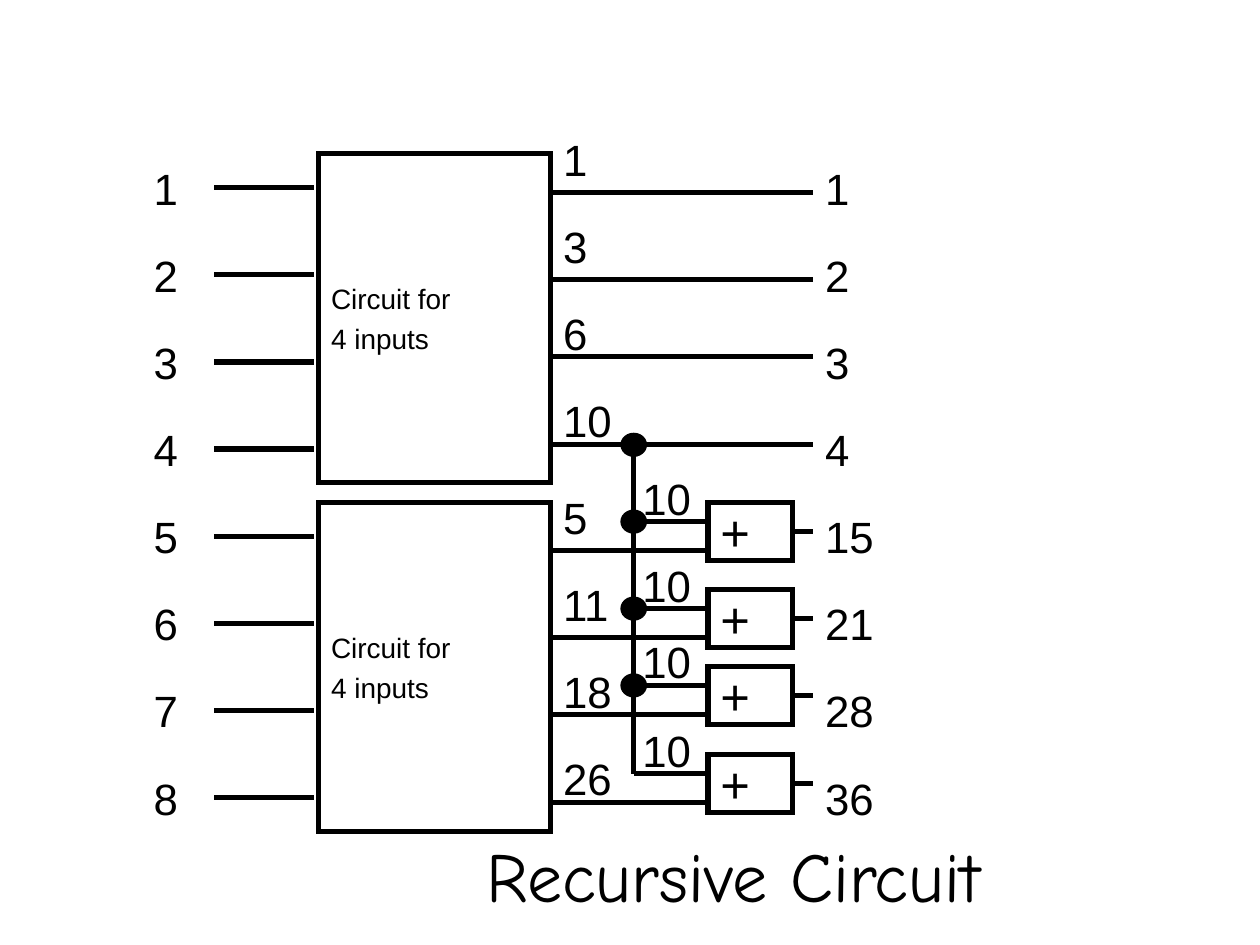
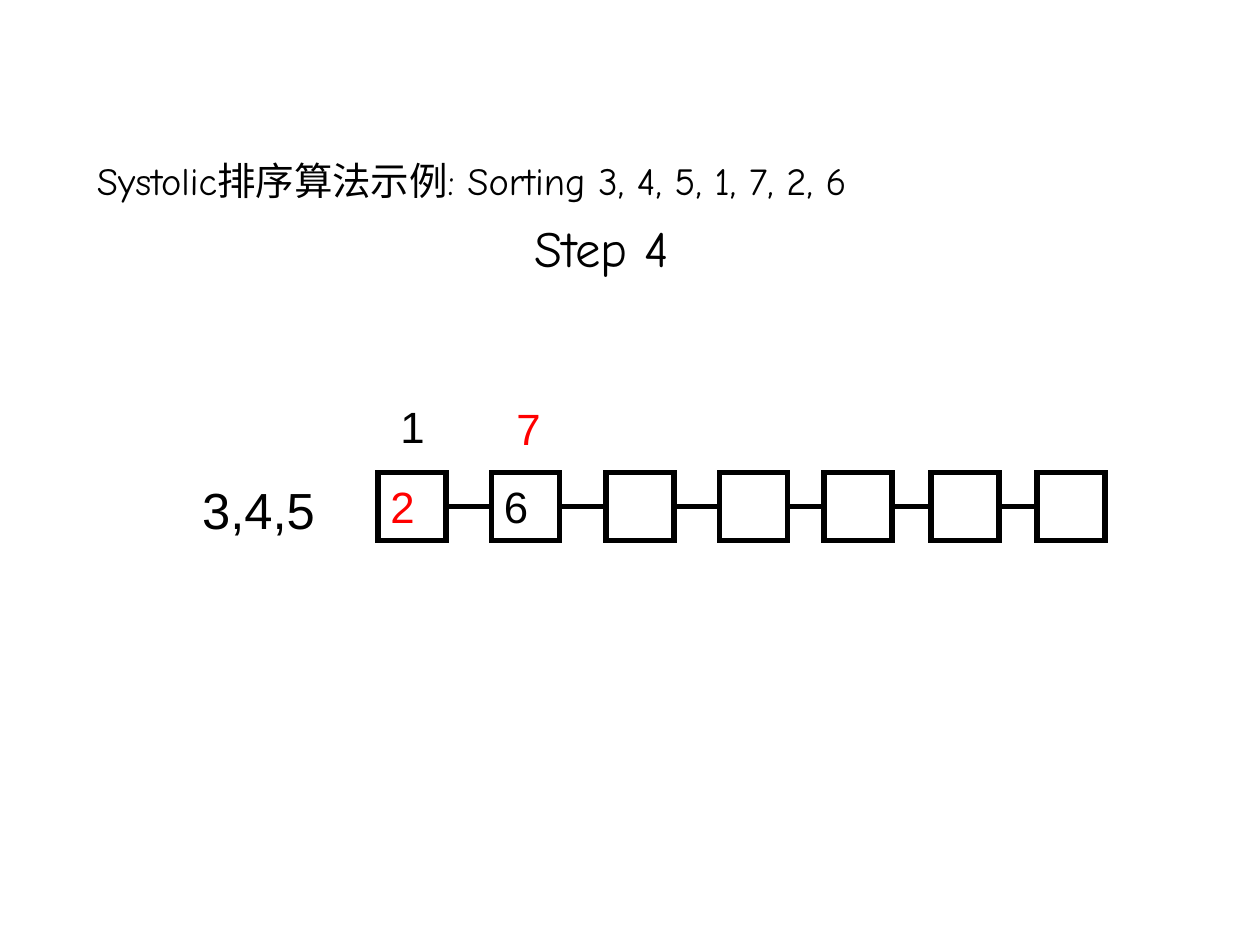
from dataclasses import dataclass

from lxml import etree
from pptx import Presentation
from pptx.dml.color import RGBColor
from pptx.enum.shapes import MSO_CONNECTOR, MSO_SHAPE
from pptx.enum.text import MSO_ANCHOR, PP_ALIGN
from pptx.oxml.ns import qn
from pptx.util import Inches, Pt

STRAIGHT = MSO_CONNECTOR.STRAIGHT
RECTANGLE, OVAL = MSO_SHAPE.RECTANGLE, MSO_SHAPE.OVAL
TOP, MIDDLE = MSO_ANCHOR.TOP, MSO_ANCHOR.MIDDLE
LEFT, CENTER, RIGHT = PP_ALIGN.LEFT, PP_ALIGN.CENTER, PP_ALIGN.RIGHT
LEFT_SIDE, RIGHT_SIDE = 1, 3


@dataclass(frozen=True)
class Theme:
    ink: RGBColor = RGBColor(0, 0, 0)
    accent: RGBColor = RGBColor(255, 0, 0)
    heading_font: str = "Comic Neue"
    label_font: str = "Arial"
    title: float = 40
    large: float = 29
    label: float = 25
    heading: float = 22
    caption: float = 16
    stroke: float = 3


THEME = Theme()
ROW_PITCH = 4.84 / 7
ADDER_STEPS = (0, 0.69, 1.3, 2)
LABEL_WIDTH, LABEL_HEIGHT = 0.58, 0.54


def apply_format(target, values):
    for name, value in values.items():
        setattr(target, name, value)


def write(box, lines, anchor=MIDDLE, align=LEFT, wrap=False, margins=None, **font):
    frame = box.text_frame
    apply_format(frame, {"word_wrap": wrap, "vertical_anchor": anchor})
    if margins:
        side, edge = map(Inches, margins)
        apply_format(frame, {"margin_left": side, "margin_right": side,
                             "margin_top": edge, "margin_bottom": edge})
    elif align == RIGHT:
        frame.margin_left = 0
    else:
        frame.margin_right = 0
    style = {"size": THEME.label, "name": THEME.label_font, "color": THEME.ink} | font
    for index, line in enumerate(lines):
        para = frame.add_paragraph() if index else frame.paragraphs[0]
        para.alignment = align
        if index:
            para.space_before = Pt(style["size"] / 4)
        span = para.add_run()
        span.text = line
        apply_format(span.font, {"size": Pt(style["size"]), "name": style["name"]})
        span.font.color.rgb = style["color"]
    return frame


def add_text(page, left, top, width, height, lines, **style):
    box = page.shapes.add_textbox(*map(Inches, (left, top, width, height)))
    return write(box, lines, **style)


def add_label(page, left, top, text):
    add_text(page, left, top, LABEL_WIDTH, LABEL_HEIGHT, [text])


def add_outline(page, kind, left, top, width, height, filled=False):
    shape = page.shapes.add_shape(kind, *map(Inches, (left, top, width, height)))
    shape.shadow.inherit = False
    if filled:
        shape.fill.solid()
        shape.fill.fore_color.rgb = THEME.ink
    else:
        shape.fill.background()
    shape.line.color.rgb = THEME.ink
    shape.line.width = Pt(THEME.stroke)
    border = shape._element.spPr.find(qn("a:ln"))
    etree.SubElement(border, qn("a:miter")).set("lim", "800000")
    return shape


def add_wire(page, start_x, start_y, end_x, end_y, start=None, end=None):
    ends = map(Inches, (start_x, start_y, end_x, end_y))
    wire = page.shapes.add_connector(STRAIGHT, *ends)
    wire.line.color.rgb = THEME.ink
    wire.line.width = Pt(THEME.stroke)
    etree.SubElement(wire._element.spPr, qn("a:effectLst"))
    if start:
        wire.begin_connect(start, RIGHT_SIDE)
    if end:
        wire.end_connect(end, LEFT_SIDE)


def add_inputs(page, left, top, count):
    for index in range(count):
        row = top + index * ROW_PITCH
        add_label(page, left, row, str(index + 1))
        add_wire(page, left + 0.58, row + 0.27, left + 1.37, row + 0.27)


def add_half_circuit(page, left, top, wire_drop, wire_length, prefixes):
    width = 1.84
    block = add_outline(page, RECTANGLE, left, top, width, 2.61)
    write(block, ["Circuit for", "4 inputs"], size=THEME.caption)
    right, first_wire = left + width, top + wire_drop
    for index, (step, prefix) in enumerate(zip(ADDER_STEPS, prefixes)):
        wire_y = first_wire + step
        add_wire(page, right, wire_y, right + wire_length, wire_y)
        label_y = first_wire - LABEL_HEIGHT + index * ROW_PITCH
        add_label(page, right, label_y, prefix)


def add_dot(page, center_x, center_y):
    width, height = 0.17, 0.15
    add_outline(page, OVAL, center_x - width / 2, center_y - height / 2,
                width, height, filled=True)


def add_adders(page, left, top, bus_top, carry):
    width, height, tap_drop = 0.67, 0.46, 0.15
    bus_x = left - 0.59
    taps = [top + step + tap_drop for step in ADDER_STEPS]
    add_wire(page, bus_x, bus_top, bus_x, taps[-1])
    for tap in taps:
        adder_top = tap - tap_drop
        adder = add_outline(page, RECTANGLE, left, adder_top, width, height)
        write(adder, ["+"], size=THEME.large)
        add_wire(page, bus_x, tap, left, tap)
        middle = adder_top + height / 2
        add_wire(page, left + width, middle, left + 0.83, middle, start=adder)
        add_label(page, bus_x - 0.03, adder_top - 0.31, carry)
    for dot_y in (bus_top, *taps[:-1]):
        add_dot(page, bus_x, dot_y)


def add_sums(page, left, top, sums):
    for index, text in enumerate(sums):
        add_label(page, left, top + index * ROW_PITCH, text)


def build_recursive_circuit(page):
    top, lower_top, block_left = 1.22, 3.99, 2.53
    add_text(page, 3.55, 6.58, 4.54, 0.72, ["Recursive Circuit"], anchor=TOP,
             align=CENTER, wrap=True, margins=(0.06, 0.03),
             size=THEME.title, name=THEME.heading_font)
    add_inputs(page, 1.12, top, 8)
    add_half_circuit(page, block_left, top, 0.31, 2.08, ("1", "3", "6", "10"))
    add_half_circuit(page, block_left, lower_top, 0.38, 1.25,
                     ("5", "11", "18", "26"))
    add_adders(page, 5.62, lower_top, 3.53, "10")
    add_sums(page, 6.45, top, ("1", "2", "3", "4", "15", "21", "28", "36"))


def add_step_heading(page, left, top, width, height):
    frame = add_text(page, left, top, width, height,
                     ["Systolic排序算法示例: Sorting 3, 4, 5, 1, 7, 2, 6", "Step 4"],
                     anchor=TOP, wrap=True, margins=(0.06, 0.03),
                     size=THEME.heading, name=THEME.heading_font)
    step = frame.paragraphs[1]
    step._p.get_or_add_pPr().set("marL", str(Inches(3.47)))
    step.space_before = Pt(7.3)
    step.runs[0].font.size = Pt(THEME.large)


def add_cell_chain(page, left, top):
    side = 0.54
    offsets = (0, 0.9, 1.81, 2.71, 3.54, 4.39, 5.23)
    cells = [add_outline(page, RECTANGLE, left + offset, top, side, side)
             for offset in offsets]
    write(cells[0], ["2"], color=THEME.accent)
    write(cells[1], ["6"])
    middle = top + side / 2
    for index, (cell, follower) in enumerate(zip(cells, cells[1:])):
        add_wire(page, left + offsets[index] + side, middle,
                 left + offsets[index + 1], middle, start=cell, end=follower)
    add_text(page, left + 0.08, top - 0.63, 0.39, 0.52, ["1"], anchor=TOP)
    add_text(page, left + 1, top - 0.61, 0.39, 0.52, ["7"], anchor=TOP,
             color=THEME.accent)
    add_text(page, left - 1.49, top, 1.09, 0.59, ["3,4,5"], anchor=TOP,
             align=RIGHT, size=THEME.large)


def build_systolic_sort(page):
    add_step_heading(page, 0.71, 1.22, 7.56, 1.02)
    add_cell_chain(page, 3, 3.75)


def main():
    deck = Presentation()
    apply_format(deck, {"slide_width": Inches(10), "slide_height": Inches(7.5)})
    blank = deck.slide_layouts[6]
    for build in (build_recursive_circuit, build_systolic_sort):
        build(deck.slides.add_slide(blank))
    deck.save("out.pptx")


if __name__ == "__main__":
    main()
